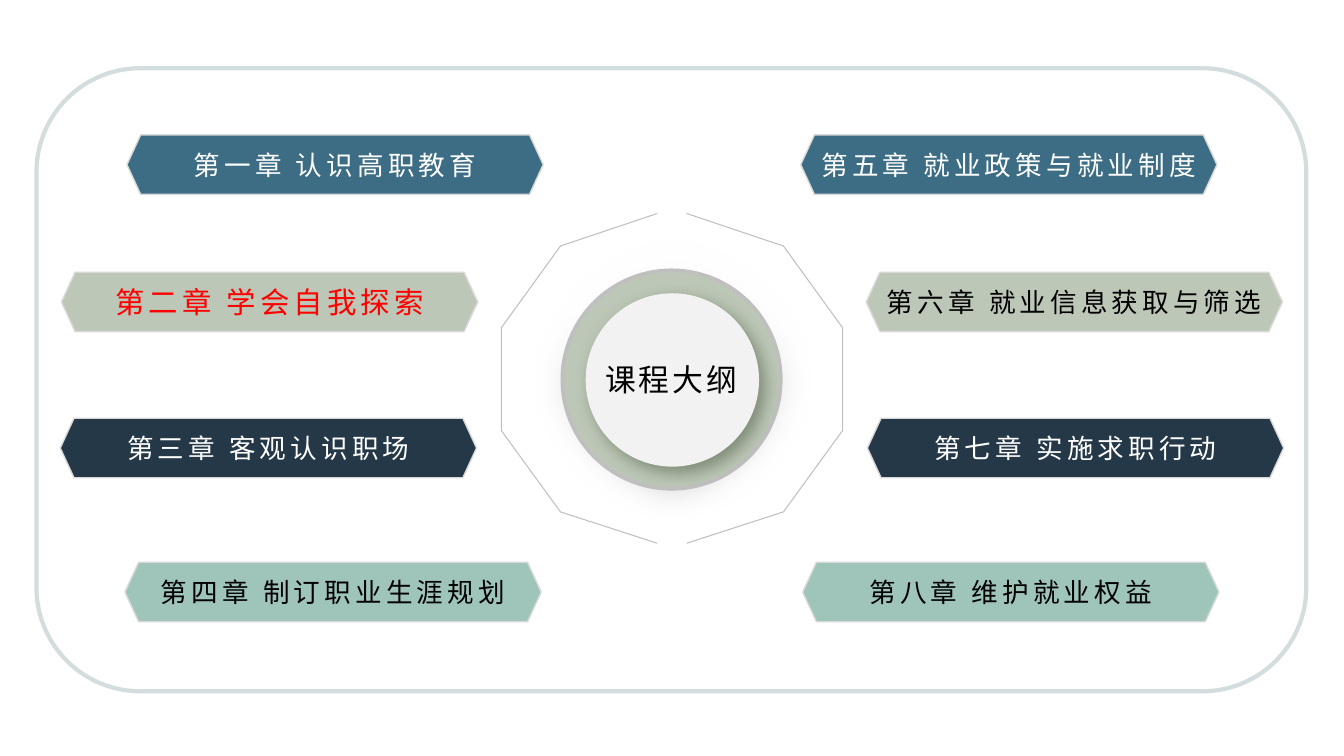
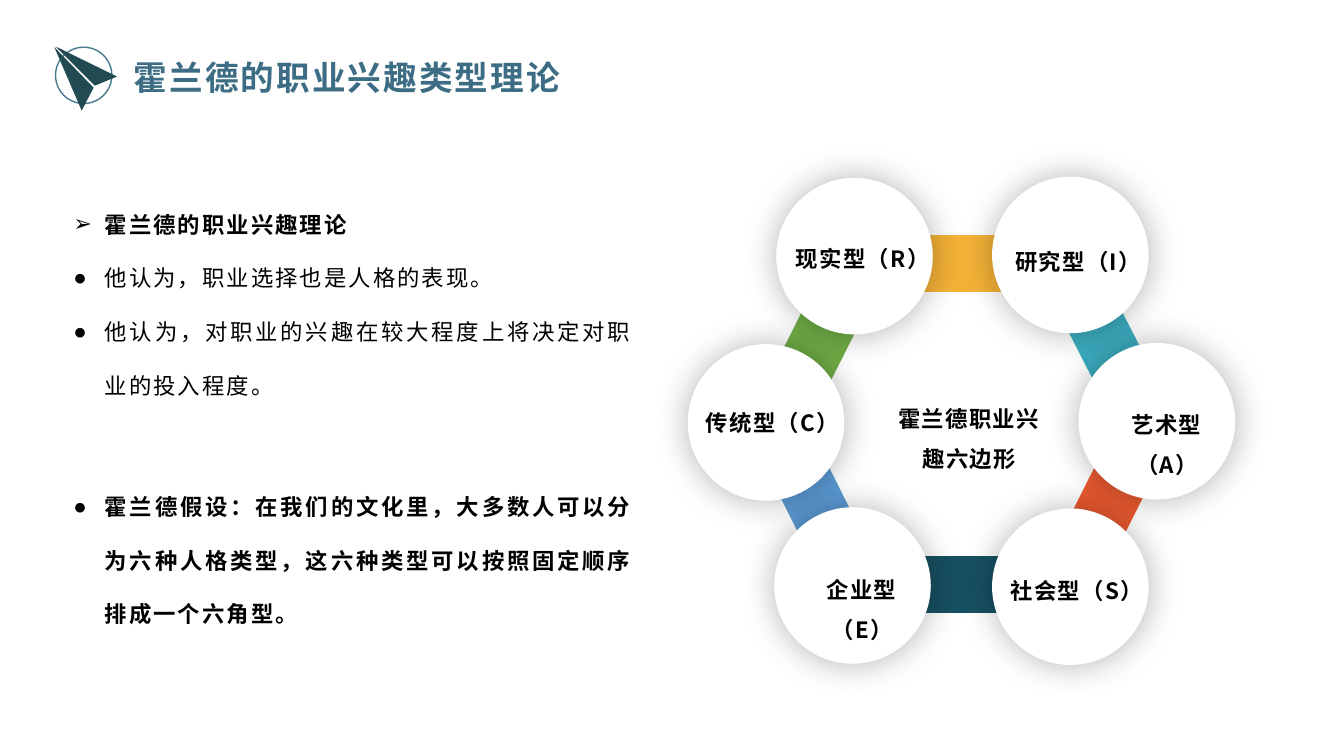
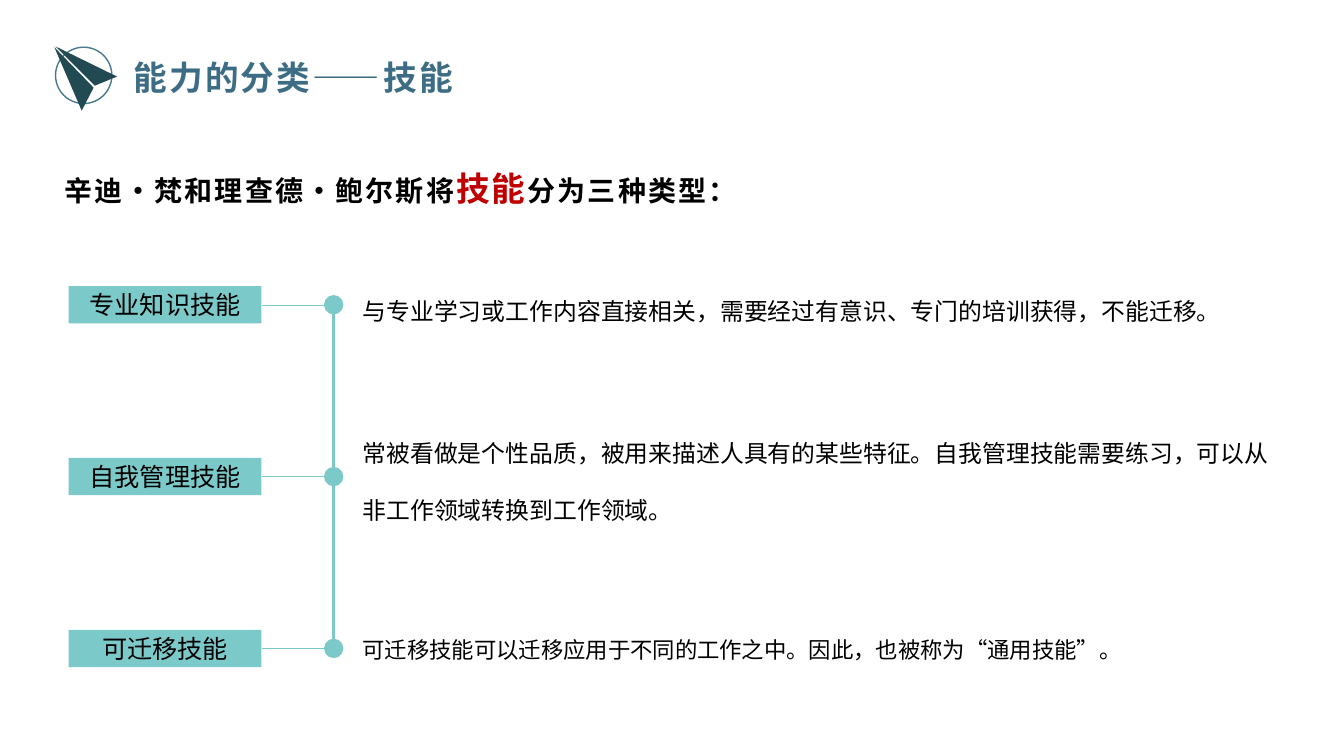
from lxml.etree import SubElement
from pptx import Presentation
from pptx.dml.color import RGBColor
from pptx.enum.shapes import MSO_CONNECTOR, MSO_SHAPE
from pptx.enum.text import MSO_ANCHOR as Anchor, MSO_AUTO_SIZE, PP_ALIGN as Align
from pptx.oxml.ns import qn
from pptx.util import Cm, Pt

FONT = "Noto Sans CJK SC"
COLORS = {
    "black": "000000", "white": "FFFFFF", "red": "FF0000", "dark red": "C00000",
    "blue": "3D6D84", "sage": "BDC7B7", "navy": "243848", "mint": "9FC5BB",
    "frame": "D4DDDE", "edge": "D9D9D9", "grey": "BFBFBF", "disc": "F2F2F2",
    "moss": "5D6B54", "emblem": "224A52", "emblem ring": "467A8C",
    "teal": "7CC9C9", "yellow": "F4B237", "cyan": "3CADC0", "orange": "E95A30",
    "petrol": "175061", "sky": "5B9BD5", "green": "70AD47",
}
PAGE_WIDTH, PAGE_HEIGHT = 33.87, 19.05
MIDDLE = PAGE_WIDTH / 2

# Content: course outline; lengths are centimetres
OUTLINE_TITLE = "课程大纲"
RIBBON_WIDTH, RIBBON_HEIGHT = 10.49, 1.5
# left, top, fill, (text, size, colour) on the left and on the right
CHAPTER_ROWS = [
    (3.2, 3.4, "blue", ("第一章 认识高职教育", 19, "white"),
     ("第五章 就业政策与就业制度", 19, "white")),
    (1.55, 6.86, "sage", ("第二章 学会自我探索", 21, "red"),
     ("第六章 就业信息获取与筛选", 19, "black")),
    (1.52, 10.54, "navy", ("第三章 客观认识职场", 19, "white"),
     ("第七章 实施求职行动", 19, "white")),
    (3.15, 14.17, "mint", ("第四章 制订职业生涯规划", 19, "black"),
     ("第八章 维护就业权益", 19, "black")),
]
# Distance from the middle, and height on the page
BRACKET = [(0.37, 5.38), (2.81, 6.2), (4.3, 8.26),
           (4.3, 10.85), (2.81, 12.9), (0.37, 13.69)]

# Content: interest types
THEORY_TITLE = "霍兰德的职业兴趣类型理论"
# bullet, text, bold, space before
THEORY = [
    ("➢", "霍兰德的职业兴趣理论", True, 0),
    ("●", "他认为，职业选择也是人格的表现。", False, 0),
    ("●", "他认为，对职业的兴趣在较大程度上将决定对职业的投入程度。", False, 0),
    ("●", "霍兰德假设：在我们的文化里，大多数人可以分为六种人格类型，"
          "这六种类型可以按照固定顺序排成一个六角型。", True, 48),
]
HEXAGON_LABEL = "霍兰德职业兴趣六边形"
# middle x, middle y, length, rotation, fill
BARS = [
    (24.28, 6.64, 5.89, 0, "yellow"), (27.89, 8.67, 4.78, 62.9, "cyan"),
    (27.94, 12.66, 4.78, 116.7, "orange"), (24.28, 14.72, 5.89, 0, "petrol"),
    (20.55, 12.69, 4.78, 63.4, "sky"), (20.6, 8.67, 4.78, 116.7, "green"),
]
# text, circle left and top, label left, top and width, line spacing
TYPES = [
    ("现实型（R）", 19.58, 4.5, 19.74, 5.72, 4.01, 1.5),
    ("研究型（I）", 25.02, 4.47, 25.2, 5.79, 3.94, 1.5),
    ("艺术型（A）", 27.2, 8.66, 27.53, 9.88, 3.76, 1.5),
    ("社会型（S）", 25.02, 12.83, 25.04, 14.07, 4.2, 1.5),
    ("企业型（E）", 19.53, 12.8, 19.86, 14.05, 3.73, 1.5),
    ("传统型（C）", 17.35, 8.69, 17.45, 10.31, 4.04, 0.8),
]

# Content: skills
SKILLS_TITLE = "能力的分类——技能"
SKILLS_LEAD = ["辛迪·梵和理查德·鲍尔斯将", "技能", "分为三种类型："]
# tag, description, its top, its size
SKILLS = [
    ("专业知识技能", "与专业学习或工作内容直接相关，需要经过有意识、专门的培训获得，不能迁移。",
     6.63, 17),
    ("自我管理技能", "常被看做是个性品质，被用来描述人具有的某些特征。"
     "自我管理技能需要练习，可以从非工作领域转换到工作领域。", 10.21, 17),
    ("可迁移技能", "可迁移技能可以迁移应用于不同的工作之中。因此，也被称为“通用技能”。",
     15.21, 16),
]
SKILL_TOP, SKILL_STEP, TAG_HEIGHT = 7.21, 4.33, 0.94
AXIS_X = 8.41

EMBLEM = [
    [(2.95, 1.93), (2.39, 2.16), (1.4, 1.17)],
    [(2.36, 2.21), (2.06, 2.79), (1.37, 1.19)],
]


def rgb(name):
    return RGBColor.from_string(COLORS[name])


# Text
def style(para, size, color="black", bold=False, spacing=0, align=Align.LEFT,
          lines=1, before=0):
    para.alignment = align
    para.line_spacing = Pt(round(size * 1.2 * lines, 1))
    para.space_before, para.space_after = Pt(before), Pt(0)
    font = para.font
    font.size, font.bold, font.name = Pt(size), bold, FONT
    font.color.rgb = rgb(color)
    font._rPr.set("spc", str(int(spacing * 100)))
    SubElement(font._rPr, qn("a:ea")).set("typeface", FONT)


def set_frame(frame, inset=(0.25, 0.13), anchor=Anchor.TOP, wrap=True):
    frame.auto_size = MSO_AUTO_SIZE.NONE
    frame.word_wrap, frame.vertical_anchor = wrap, anchor
    frame.margin_left = frame.margin_right = Cm(inset[0])
    frame.margin_top = frame.margin_bottom = Cm(inset[1])


def place(shape, left, top, width, height):
    shape.left, shape.top = Cm(left), Cm(top)
    shape.width, shape.height = Cm(width), Cm(height)


def add_text(page, text, left, top, width, height, size, **look):
    box = page.shapes.add_textbox(Cm(left), Cm(top), Cm(width), Cm(height))
    set_frame(box.text_frame)
    para = box.text_frame.paragraphs[0]
    para.text = text
    style(para, size, **look)
    return para


def label_shape(shape, text, size, **look):
    set_frame(shape.text_frame, (0, 0), Anchor.MIDDLE, wrap=False)
    para = shape.text_frame.paragraphs[0]
    para.text = text
    style(para, size, align=Align.CENTER, **look)


def add_bullet(para, char, indent):
    props = para._p.get_or_add_pPr()
    props.set("marL", str(Cm(indent)))
    props.set("indent", str(-Cm(indent)))
    SubElement(props, qn("a:buChar")).set("char", char)


# Shapes
def paint(shape, fill=None, line=None, weight=1):
    shape.shadow.inherit = False
    if fill:
        shape.fill.solid()
        shape.fill.fore_color.rgb = rgb(fill)
    else:
        shape.fill.background()
    if line:
        shape.line.color.rgb = rgb(line)
        shape.line.width = Pt(weight)
    else:
        shape.line.fill.background()
    return shape


def add_preset(page, preset, left, top, width, height, **look):
    shape = page.shapes.add_shape(preset, Cm(left), Cm(top), Cm(width), Cm(height))
    return paint(shape, **look)


def add_circle(page, left, top, size, **look):
    return add_preset(page, MSO_SHAPE.OVAL, left, top, size, size, **look)


def add_outline(page, contours, close, **look):
    points = [[(Cm(x), Cm(y)) for x, y in contour] for contour in contours]
    builder = page.shapes.build_freeform(*points[0][0])
    for number, contour in enumerate(points):
        if number:
            builder.move_to(*contour[0])
        builder.add_line_segments(contour[1:], close=close)
    return paint(builder.convert_to_shape(), **look)


def add_line(page, start, end, weight):
    ends = [Cm(value) for value in (*start, *end)]
    line = page.shapes.add_connector(MSO_CONNECTOR.STRAIGHT, *ends)
    line.line.color.rgb = rgb("teal")
    line.line.width = Pt(weight)
    SubElement(line._element.spPr, qn("a:effectLst"))


def add_effect(shape, tag, **values):
    effects = shape._element.spPr.find(qn("a:effectLst"))
    effect = SubElement(effects, qn(tag))
    for name, value in values.items():
        effect.set(name, str(value))
    return effect


def add_shadow(shape, color, opacity, blur, distance=0, angle=0):
    shadow = add_effect(shape, "a:outerShdw", blurRad=Pt(blur), dist=Pt(distance),
                        dir=angle * 60000, algn="ctr", rotWithShape=0)
    tint = SubElement(shadow, qn("a:srgbClr"))
    tint.set("val", COLORS[color])
    SubElement(tint, qn("a:alpha")).set("val", str(opacity * 1000))


# Shared heading
def add_heading(page, text):
    title = page.shapes.title
    place(title, 3.12, 1.3, 16.94, 1.27)
    set_frame(title.text_frame)
    title.text_frame.text = text
    style(title.text_frame.paragraphs[0], 24, "blue", bold=True, spacing=1.5)
    add_circle(page, 1.4, 1.19, 1.42, line="emblem ring")
    add_outline(page, EMBLEM, True, fill="emblem")


# Slides
def draw_outline(page):
    glow = add_circle(page, 13.26, 5.87, 7.39, fill="white")
    glow.fill.gradient()
    glow.fill.gradient_angle = 270
    for stop, color in zip(glow.fill.gradient_stops, ("white", "grey")):
        stop.color.rgb = rgb(color)
    stops = glow.fill.gradient_stops
    stops[0].position, stops[1].position = 0, 1
    add_effect(glow, "a:softEdge", rad=Pt(25))
    add_circle(page, 14.17, 6.81, 5.51, fill="sage", line="grey", weight=2.5)
    disc = add_circle(page, 14.76, 7.39, 4.37, fill="disc")
    add_shadow(disc, "moss", 64, 12, 6, 45)

    title = page.shapes.title
    page.shapes._spTree.append(title._element)
    place(title, 14.63, 9.1, 4.57, 0.94)
    set_frame(title.text_frame, (0, 0))
    title.text_frame.text = OUTLINE_TITLE
    style(title.text_frame.paragraphs[0], 22, spacing=2, align=Align.CENTER)

    for side in (1, -1):
        points = [(MIDDLE + side * x, y) for x, y in BRACKET]
        add_outline(page, [points], False, line="grey", weight=0.75)

    for left, top, fill, *chapters in CHAPTER_ROWS:
        lefts = (left, PAGE_WIDTH - left - RIBBON_WIDTH)
        for ribbon_left, (text, size, color) in zip(lefts, chapters):
            ribbon = add_preset(page, MSO_SHAPE.HEXAGON, ribbon_left, top,
                                RIBBON_WIDTH, RIBBON_HEIGHT, fill=fill, line="edge")
            ribbon.adjustments[0] = 0.23
            label_shape(ribbon, text, size, color=color, spacing=3)

    add_preset(page, MSO_SHAPE.ROUNDED_RECTANGLE, 0.92, 1.72, 32, 15.7,
               line="frame", weight=3)


def draw_theory(page):
    add_heading(page, THEORY_TITLE)
    body = page.placeholders[1]
    place(body, 1.6, 4.5, 14.6, 11.53)
    frame = body.text_frame
    set_frame(frame)
    for number, (bullet, text, bold, before) in enumerate(THEORY):
        para = frame.add_paragraph() if number else frame.paragraphs[0]
        para.text = text
        add_bullet(para, bullet, 0.79)
        style(para, 16, bold=bold, spacing=1.5, align=Align.JUSTIFY,
              lines=2, before=before)

    height = 1.4
    for x, y, length, rotation, color in BARS:
        bar = add_preset(page, MSO_SHAPE.RECTANGLE, x - length / 2, y - height / 2,
                         length, height, fill=color, line=color)
        bar.rotation = rotation
    for _, left, top, *_ in TYPES:
        circle = add_circle(page, left, top, 3.91, fill="white", line="white")
        add_shadow(circle, "black", 29, 25)
    label = {"size": 16, "bold": True, "spacing": 1, "align": Align.CENTER}
    add_text(page, HEXAGON_LABEL, 22.17, 9.73, 4.52, 2.74, lines=1.5, **label)
    for text, _, _, left, top, width, lines in TYPES:
        add_text(page, text, left, top, width, 1.3, lines=lines, **label)


def draw_skills(page):
    add_heading(page, SKILLS_TITLE)
    lead = add_text(page, "", 1.37, 4.1, 30.5, 1.27, 20, bold=True, spacing=1.5,
                    lines=1.2)
    for text in SKILLS_LEAD:
        lead.add_run().text = text
    keyword = lead.runs[1].font
    keyword.size, keyword.color.rgb = Pt(24), rgb("dark red")

    middles = [SKILL_TOP + TAG_HEIGHT / 2 + SKILL_STEP * row
               for row in range(len(SKILLS))]
    add_line(page, (AXIS_X, middles[0]), (AXIS_X, middles[-1]), 1.75)
    dot = 0.38
    for (name, text, top, size), middle in zip(SKILLS, middles):
        add_text(page, text, 8.89, top, 23.83, 3.4, size, lines=2)
        add_circle(page, AXIS_X - dot / 2, middle - dot / 2, dot,
                   fill="teal", line="teal", weight=3)
        tag = add_preset(page, MSO_SHAPE.RECTANGLE, 1.73, middle - TAG_HEIGHT / 2,
                         4.86, TAG_HEIGHT, fill="teal")
        label_shape(tag, name, 18)
        add_line(page, (8.26, middle), (6.6, middle), 0.25)


def main():
    deck = Presentation()
    deck.slide_width, deck.slide_height = Cm(PAGE_WIDTH), Cm(PAGE_HEIGHT)
    content, title_only = deck.slide_layouts[1], deck.slide_layouts[5]
    for layout, draw in ((title_only, draw_outline), (content, draw_theory),
                         (title_only, draw_skills)):
        draw(deck.slides.add_slide(layout))
    deck.save("out.pptx")


if __name__ == "__main__":
    main()
